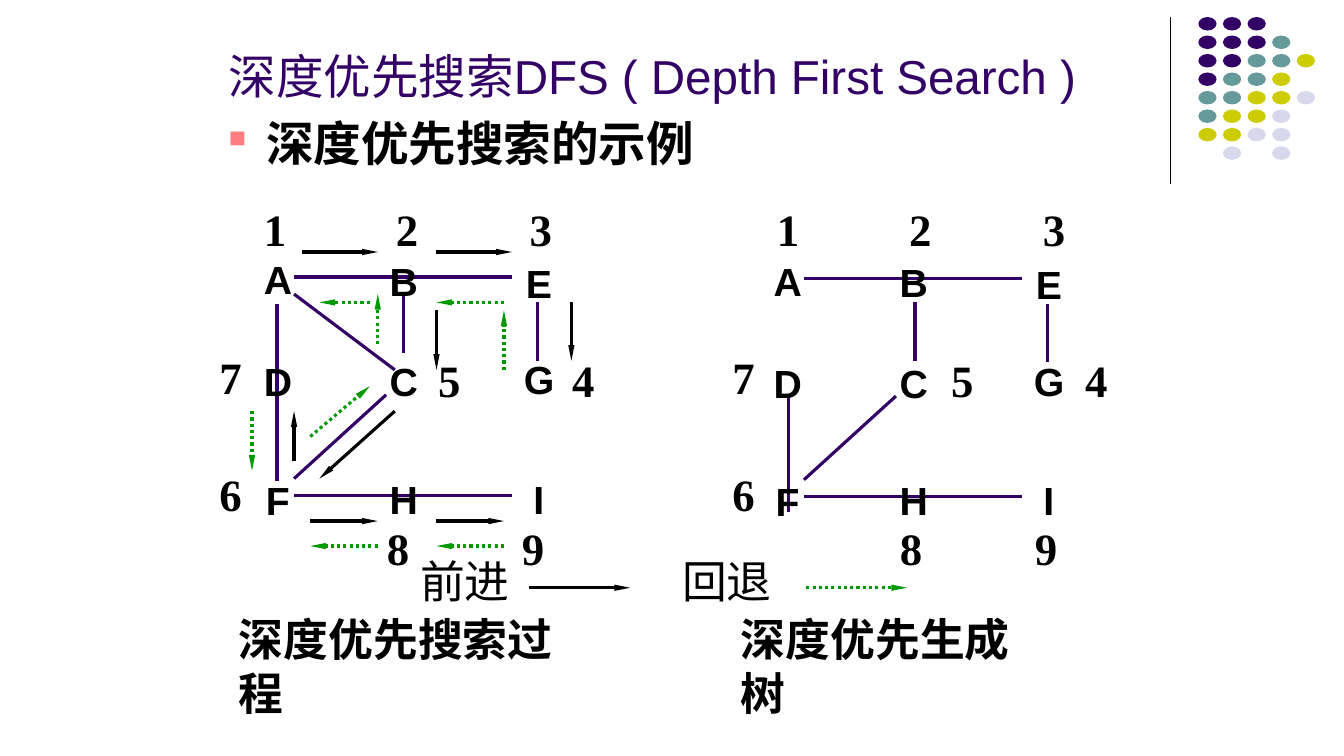
from lxml.etree import SubElement
from pptx import Presentation
from pptx.dml.color import RGBColor
from pptx.enum.dml import MSO_LINE_DASH_STYLE as DASH
from pptx.enum.shapes import MSO_CONNECTOR as CONNECTOR, MSO_SHAPE as SHAPE
from pptx.enum.text import MSO_ANCHOR as ANCHOR, PP_ALIGN as ALIGN
from pptx.oxml.ns import qn
from pptx.util import Cm, Pt

COLORS = {
    "purple": "330066", "teal": "669999", "olive": "CCCC00", "lilac": "D8D8EC",
    "black": "000000", "green": "009900", "pink": "FF7C80",
}

TITLE = {"name": "Arial", "size": Pt(34), "bold": False}
HEADING = {"name": "Arial", "size": Pt(34), "bold": True}
NODE = {"name": "Arial", "size": Pt(28), "bold": True}
ORDER = {"name": "Times New Roman", "size": Pt(32), "bold": True}
LEGEND = {"name": "Times New Roman", "size": Pt(32), "bold": False}

FORWARD = {"color": "black", "arrow": True}
BACKTRACK = {"color": "green", "arrow": True, "dash": DASH.ROUND_DOT}

# One letter per dot: purple, teal, olive, lilac
DOT_ROWS = ["ppp", "pppt", "pptto", "ptto", "ttool", "tool", "ooll", " l l"]
DOT_COLORS = {"p": "purple", "t": "teal", "o": "olive", "l": "lilac"}

# Node: column centre and top, within the graph box
COLUMNS = (1.73, 4.9, 8.31)
NODES = {
    "A": (0, 1.37), "B": (1, 1.4), "E": (2, 1.45),
    "D": (0, 3.94), "C": (1, 3.94), "G": (2, 3.89),
    "F": (0, 6.93), "H": (1, 6.91), "I": (2, 6.91),
}
NODE_WIDTHS = {"E": 1.17, "F": 1.12, "G": 1.27, "I": 0.79}
VISITS = [(1.12, 0), (4.45, 0), (7.82, 0), (8.89, 3.81), (5.51, 3.81),
          (0, 6.68), (0, 3.73), (4.22, 8.05), (7.62, 8.05)]

SHARED_EDGES = [
    (2.13, 2.03, 7.62, 2.03),   # A-B-E
    (8.26, 2.67, 8.26, 4.14),   # E-G
    (2.13, 7.11, 4.45, 5),      # F-C
    (2.13, 7.54, 7.62, 7.54),   # F-H-I
]
GRAPH_EDGES = SHARED_EDGES + [
    (4.88, 2.46, 4.88, 3.94),   # B-C
    (2.13, 2.46, 4.67, 4.37),   # A-C
    (1.7, 2.72, 1.7, 7.16),     # A-D-F
]
TREE_EDGES = SHARED_EDGES + [
    (4.93, 2.64, 4.93, 4.11),   # B-C
    (1.75, 4.98, 1.75, 7.92),   # D-F
]
FORWARD_MOVES = [
    (2.34, 1.4, 4.24, 1.4), (5.72, 1.4, 7.62, 1.4),
    (9.12, 2.67, 9.12, 4.14), (5.72, 2.87, 5.72, 4.37),
    (4.67, 5.41, 2.77, 7.11), (2.13, 6.68, 2.13, 5.41),
    (2.54, 8.18, 4.24, 8.18), (5.72, 8.18, 7.42, 8.18),
]
BACKTRACK_MOVES = [
    (7.42, 4.37, 7.42, 2.87), (7.42, 2.67, 5.72, 2.67),
    (4.24, 3.73, 4.24, 2.46), (4.04, 2.67, 2.77, 2.67),
    (2.54, 6.05, 4.04, 4.78), (1.07, 5.41, 1.07, 6.91),
    (4.24, 8.81, 2.54, 8.81), (7.42, 8.81, 5.72, 8.81),
]


def rgb(color):
    return RGBColor.from_string(COLORS[color])


def add_line(slide, x1, y1, x2, y2, color="purple", width=2.25, arrow=False, dash=None):
    line = slide.shapes.add_connector(CONNECTOR.STRAIGHT, Cm(x1), Cm(y1), Cm(x2), Cm(y2))
    line.line.color.rgb = rgb(color)
    line.line.width = Pt(width)
    if dash:
        line.line.dash_style = dash
    properties = line._element.spPr
    if arrow:
        SubElement(properties.find(qn("a:ln")), qn("a:tailEnd"),
                   type="triangle", w="sm", len="lg")
    SubElement(properties, qn("a:effectLst"))


def add_text(slide, text, left, top, width, height, style, color="black", wrap=False):
    box = slide.shapes.add_textbox(Cm(left), Cm(top), Cm(width), Cm(height))
    box.text_frame.word_wrap = wrap
    run = box.text_frame.paragraphs[0].add_run()
    run.text = text
    for name, value in style.items():
        setattr(run.font, name, value)
    run.font.color.rgb = rgb(color)
    return box.text_frame


def add_bullet(paragraph):
    properties = paragraph._p.get_or_add_pPr()
    properties.set("marL", str(Cm(0.95)))
    properties.set("indent", str(-Cm(0.95)))
    bullet_color = SubElement(properties, qn("a:buClr"))
    SubElement(bullet_color, qn("a:srgbClr"), val=COLORS["pink"])
    SubElement(properties, qn("a:buSzPct"), val="50000")
    SubElement(properties, qn("a:buChar"), char="■")


def add_corner(slide, left, top):
    """Vertical rule and the dot pattern to its right."""
    add_line(slide, left, top, left, top + 4.22, "black", 0.75)
    for row, dots in enumerate(DOT_ROWS):
        for column, key in enumerate(dots):
            if key == " ":
                continue
            dot = slide.shapes.add_shape(
                SHAPE.OVAL, Cm(left + 0.71 + column * 0.62),
                Cm(top + row * 3.26 / 7), Cm(0.46), Cm(0.34))
            dot.shadow.inherit = False
            dot.fill.solid()
            dot.fill.fore_color.rgb = rgb(DOT_COLORS[key])
            dot.line.fill.background()


def add_headings(slide, left, top):
    title = add_text(slide, "深度优先搜索DFS ( Depth First Search )",
                     left, top, 24.13, 2.11, TITLE, "purple", wrap=True)
    title.vertical_anchor = ANCHOR.BOTTOM
    title.paragraphs[0].alignment = ALIGN.JUSTIFY
    heading = add_text(slide, "深度优先搜索的示例", left, top + 2.1, 13.97, 1.9,
                       HEADING, wrap=True)
    add_bullet(heading.paragraphs[0])


def add_lines(slide, left, top, lines, **style):
    for x1, y1, x2, y2 in lines:
        add_line(slide, left + x1, top + y1, left + x2, top + y2, **style)


def add_graph(slide, left, top, edges):
    add_lines(slide, left, top, edges)
    for letter, (column, y) in NODES.items():
        width = NODE_WIDTHS.get(letter, 1.22)
        add_text(slide, letter, left + COLUMNS[column] - width / 2, top + y,
                 width, 1.45, NODE)


def add_visit_order(slide, left, top):
    for number, (x, y) in enumerate(VISITS, 1):
        add_text(slide, str(number), left + x, top + y, 1.07, 1.6, ORDER)


def add_legend(slide, left, top):
    for label, x, gap, style in (("前进", 0, 3, FORWARD), ("回退", 6.6, 3.38, BACKTRACK)):
        add_text(slide, label, left + x, top, 2.77, 1.6, LEGEND)
        start = left + x + gap
        add_line(slide, start, top + 0.97, start + 2.54, top + 0.97, **style)


def add_captions(slide, left, top):
    for caption, x, width in (("深度优先搜索过程", 0, 9.54), ("深度优先生成树", 12.65, 8.41)):
        add_text(slide, caption, left + x, top, width, 1.6, ORDER)


def main():
    deck = Presentation()
    deck.slide_width, deck.slide_height = Cm(33.87), Cm(19.05)
    slide = deck.slides.add_slide(deck.slide_layouts[6])
    add_corner(slide, 29.49, 0.43)
    add_headings(slide, 5.51, 0.64)
    add_graph(slide, 5.28, 4.95, GRAPH_EDGES)
    add_graph(slide, 18.13, 4.98, TREE_EDGES)
    for left in (5.28, 18.21):
        add_visit_order(slide, left, 4.95)
    add_lines(slide, 5.28, 4.95, FORWARD_MOVES, **FORWARD)
    add_lines(slide, 5.28, 4.95, BACKTRACK_MOVES, **BACKTRACK)
    add_legend(slide, 10.34, 13.84)
    add_captions(slide, 5.77, 15.29)
    deck.save("out.pptx")


if __name__ == "__main__":
    main()
